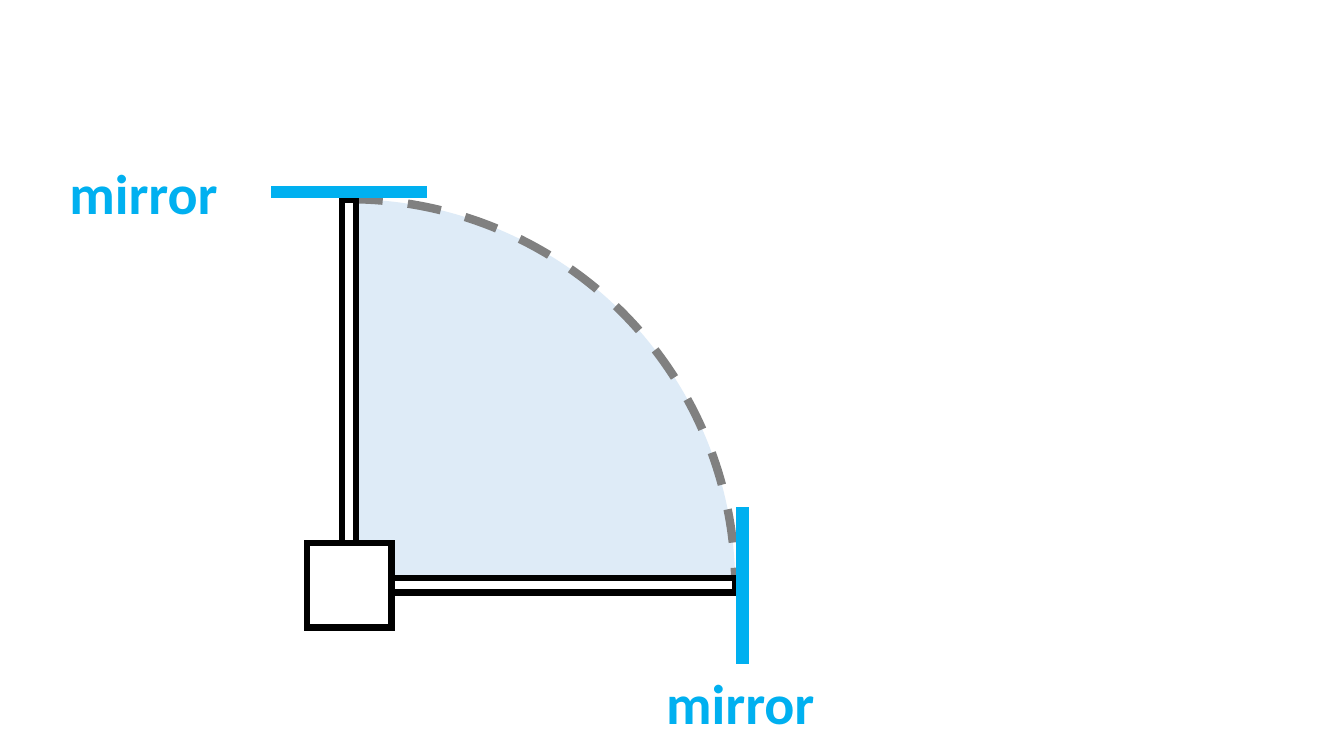
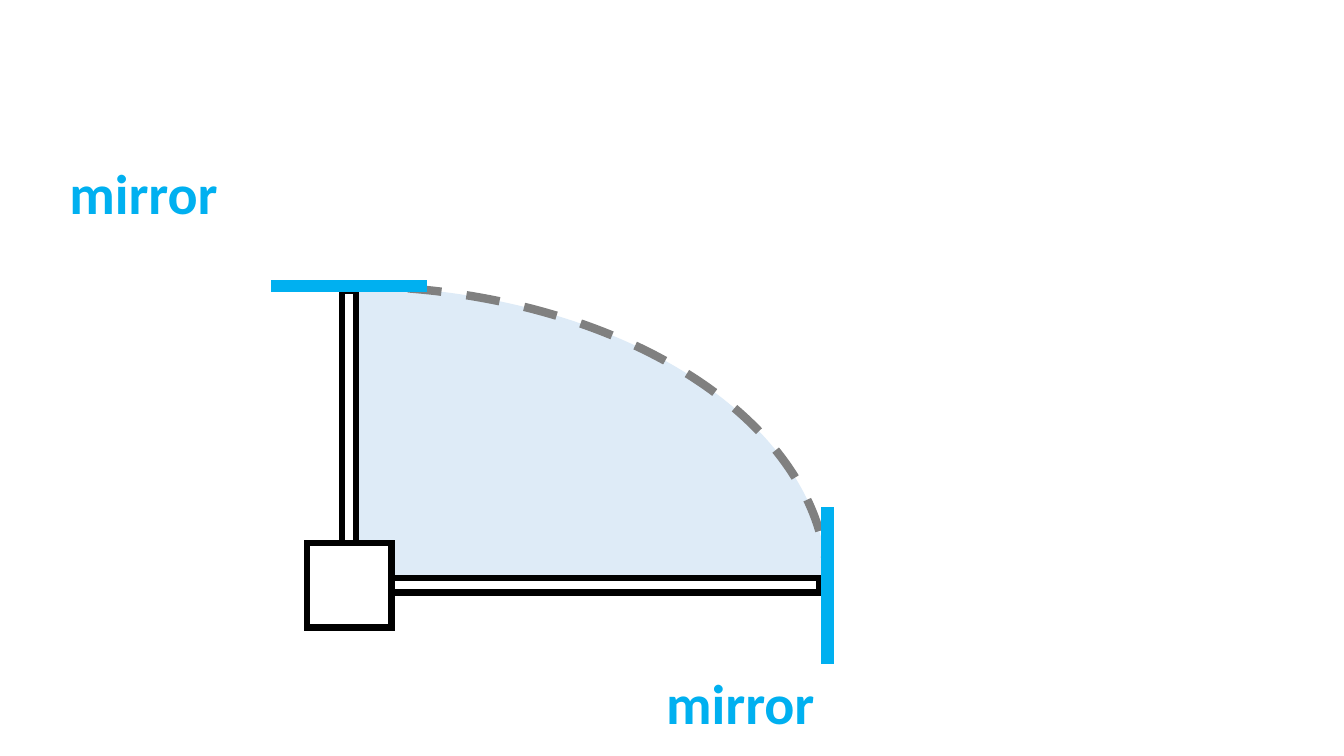
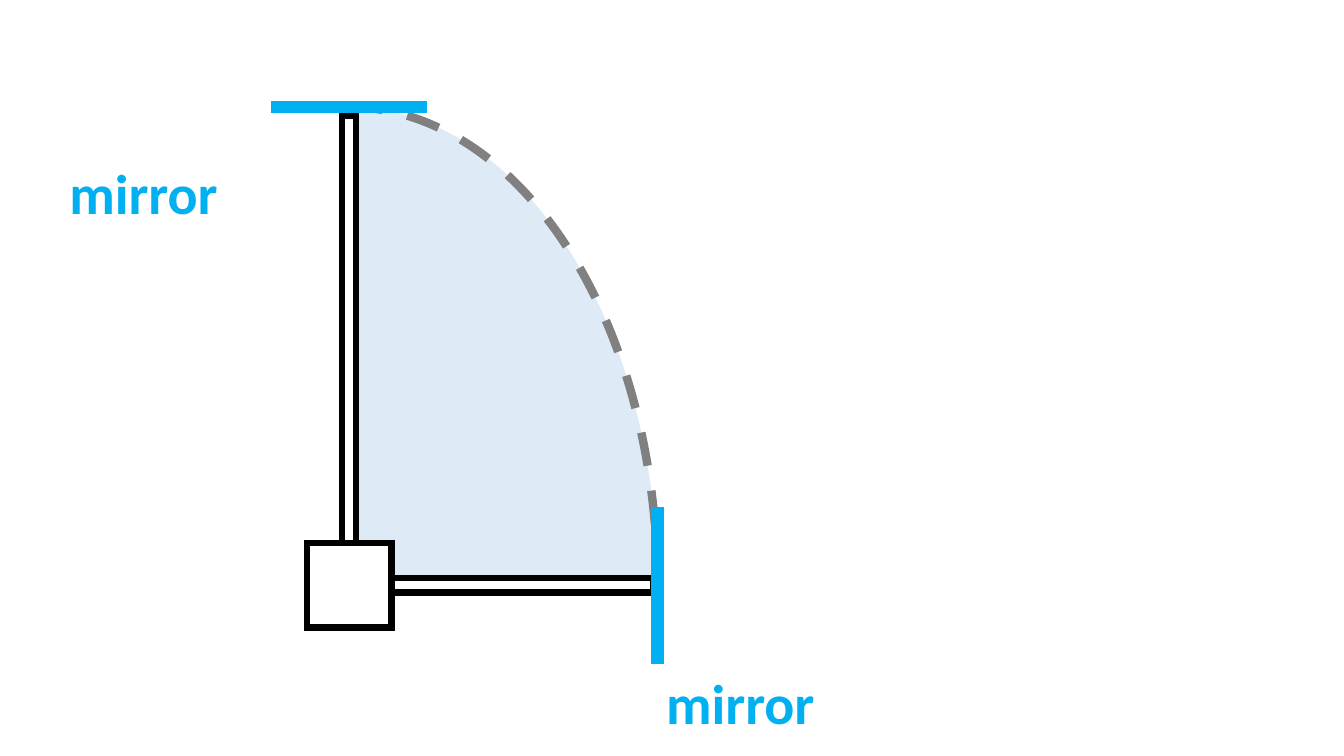
from dataclasses import dataclass

from lxml import etree
from pptx import Presentation
from pptx.dml.color import RGBColor
from pptx.enum.dml import MSO_LINE
from pptx.enum.shapes import MSO_CONNECTOR, MSO_SHAPE
from pptx.enum.text import MSO_AUTO_SIZE
from pptx.oxml.ns import qn
from pptx.util import Cm, Pt

RECT = MSO_SHAPE.RECTANGLE
ARC = MSO_SHAPE.ARC
STRAIGHT = MSO_CONNECTOR.STRAIGHT
DASH = MSO_LINE.DASH
FIT_TEXT = MSO_AUTO_SIZE.SHAPE_TO_FIT_TEXT


@dataclass(frozen=True)
class Theme:
    mirror: RGBColor = RGBColor(0x00, 0xB0, 0xF0)
    sweep: RGBColor = RGBColor(0xDE, 0xEB, 0xF7)
    dashes: RGBColor = RGBColor(0x80, 0x80, 0x80)
    outline: RGBColor = RGBColor(0x00, 0x00, 0x00)
    paper: RGBColor = RGBColor(0xFF, 0xFF, 0xFF)
    font: str = "Calibri"
    label_size: Pt = Pt(40)
    outline_width: Pt = Pt(4.5)
    dash_width: Pt = Pt(6)
    mirror_width: Pt = Pt(9)


theme = Theme()


def add_outlined(shapes, kind, left, top, width, height, fill, color, weight, dash=None):
    sp = shapes.add_shape(kind, Cm(left), Cm(top), Cm(width), Cm(height))
    sp.shadow.inherit = False
    sp.fill.solid()
    sp.fill.fore_color.rgb = fill
    sp.line.color.rgb = color
    sp.line.width = weight
    if dash:
        sp.line.dash_style = dash
    ln = sp._element.spPr.find(qn("a:ln"))
    etree.SubElement(ln, qn("a:miter"), lim="800000")


def add_mirror(shapes, x1, y1, x2, y2):
    line = shapes.add_connector(STRAIGHT, Cm(x1), Cm(y1), Cm(x2), Cm(y2))
    line.line.color.rgb = theme.mirror
    line.line.width = theme.mirror_width
    etree.SubElement(line._element.spPr, qn("a:effectLst"))


CX, CY = 8.8, 14.75
BOX = 2.13
HALF_BOX = BOX / 2
ARM = 0.36
HALF_MIRROR = 1.97
LABELS = [(1.5, 3.86), (16.54, 16.71)]

STATES = [
    {"arms": (8.66, 8.66), "radii": (9.73, 9.73), "gap": 0.18},
    {"arms": (10.77, 6.35), "radii": (12.05, 7.54), "gap": 0},
    {"arms": (6.6, 10.77), "radii": (7.77, 12.05), "gap": 0},
]

prs = Presentation()
prs.slide_width = Cm(33.87)
prs.slide_height = Cm(19.05)

for state in STATES:
    s = prs.slides.add_slide(prs.slide_layouts[6])
    arm_x, arm_y = state["arms"]
    rx, ry = state["radii"]
    mirror_x = CX + rx + state["gap"]
    mirror_y = CY - ry - state["gap"]
    outline = (theme.paper, theme.outline, theme.outline_width)

    add_outlined(s.shapes, ARC, CX - rx, CY - ry, 2 * rx, 2 * ry,
                 theme.sweep, theme.dashes, theme.dash_width, DASH)
    add_outlined(s.shapes, RECT, CX - HALF_BOX, CY - HALF_BOX, BOX, BOX, *outline)

    right = s.shapes.add_group_shape().shapes
    add_outlined(right, RECT, CX + HALF_BOX, CY - ARM / 2, arm_x, ARM, *outline)
    add_mirror(right, mirror_x, CY - HALF_MIRROR, mirror_x, CY + HALF_MIRROR)

    upper = s.shapes.add_group_shape().shapes
    add_outlined(upper, RECT, CX - ARM / 2, CY - HALF_BOX - arm_y, ARM, arm_y, *outline)
    add_mirror(upper, CX - HALF_MIRROR, mirror_y, CX + HALF_MIRROR, mirror_y)

    for left, top in LABELS:
        tf = s.shapes.add_textbox(Cm(left), Cm(top), Cm(4.29), Cm(1.96)).text_frame
        tf.word_wrap = False
        tf.auto_size = FIT_TEXT
        p = tf.paragraphs[0]
        p.text = "mirror"
        p.font.name = theme.font
        p.font.size = theme.label_size
        p.font.bold = True
        p.font.color.rgb = theme.mirror

prs.save("out.pptx")
